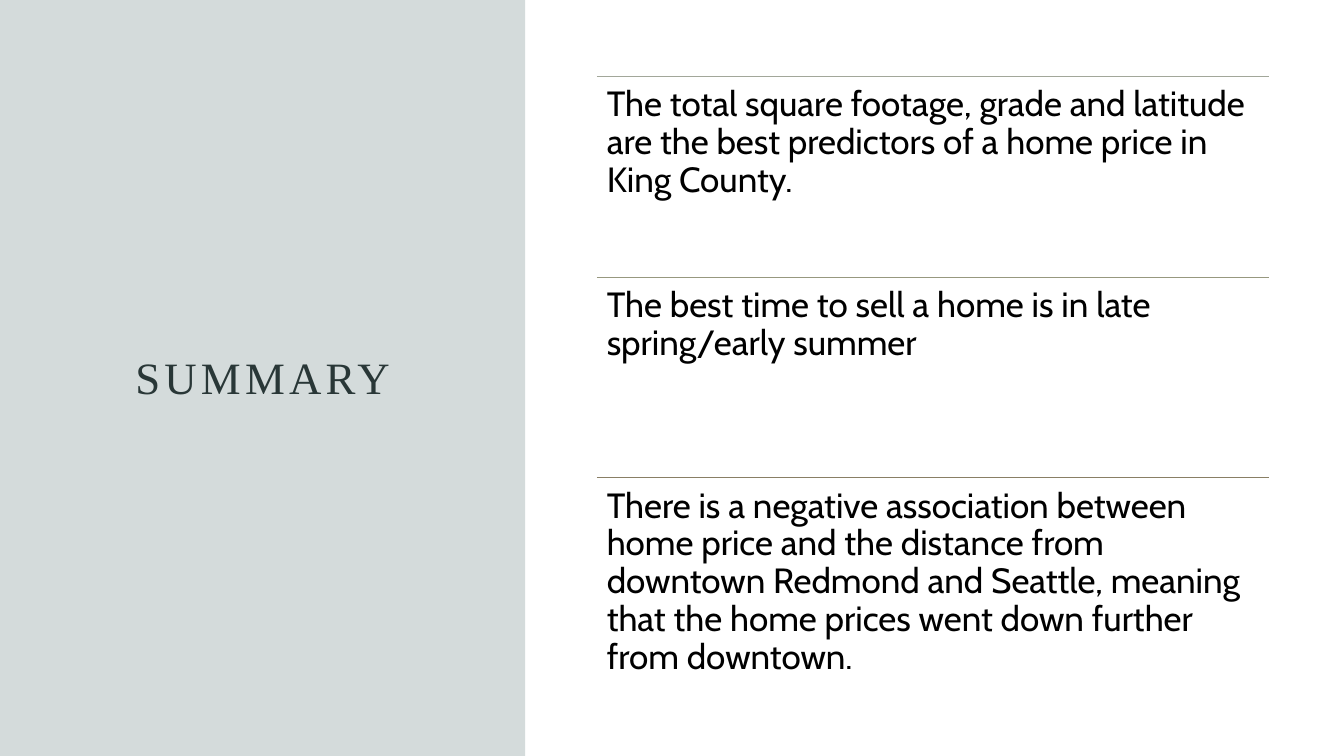
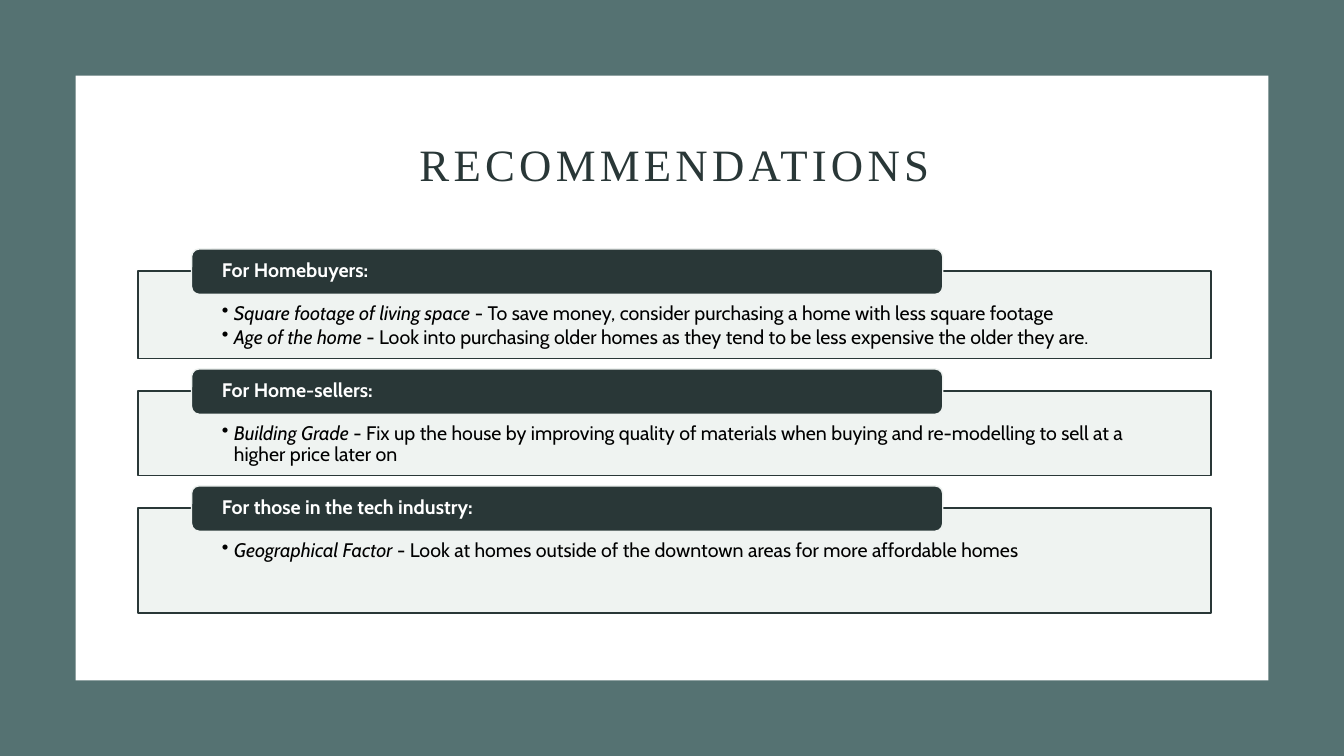
from dataclasses import dataclass
from typing import NamedTuple, Optional

from lxml import etree
from pptx import Presentation
from pptx.dml.color import RGBColor
from pptx.enum.shapes import MSO_CONNECTOR as Connector, MSO_SHAPE as Preset
from pptx.enum.text import MSO_ANCHOR as Anchor, MSO_AUTO_SIZE as AutoSize, PP_ALIGN as Align
from pptx.oxml.ns import qn
from pptx.util import Inches, Pt


@dataclass(frozen=True)
class Theme:
    teal: str = "557272"
    dark: str = "293737"
    pale: str = "EEF2F0"
    white: str = "FFFFFF"
    black: str = "000000"
    rules: tuple[str, ...] = ("A2A79A", "97987F", "897F65")
    title_font: str = "Times New Roman"
    body_font: str = "Cabin"
    title_size: int = 32
    summary_size: int = 25
    detail_size: int = 14
    line_spacing: float = 0.9


THEME = Theme()


class Box(NamedTuple):
    left: float
    top: float
    width: float
    height: float

    def lengths(self) -> list[int]:
        return [Inches(value) for value in self]


class TextRun(NamedTuple):
    text: str
    italic: bool = False


class Advice(NamedTuple):
    audience: str
    height: float
    points: tuple[tuple[str, str], ...]


SUMMARY = (
    "The total square footage, grade and latitude are the best predictors of a home price in King County.",
    "The best time to sell a home is in late spring/early summer",
    "There is a negative association between home price and the distance from downtown Redmond and Seattle, "
    "meaning that the home prices went down further from downtown.",
)

RECOMMENDATIONS = (
    Advice("For Homebuyers:", 0.87, (
        ("Square footage of living space ", "- To save money, consider purchasing a home with less square footage"),
        ("Age of the home ",
         "- Look into purchasing older homes as they tend to be less expensive the older they are."),
    )),
    Advice("For Home-sellers:", 0.84, (
        ("Building Grade ",
         "- Fix up the house by improving quality of materials when buying and re-modelling "
         "to sell at a higher price later on"),
    )),
    Advice("For those in the tech industry:", 1.04, (
        ("Geographical Factor ", "- Look at homes outside of the downtown areas for more affordable homes"),
    )),
)


def write_text(frame, paragraphs, *, size: int, color: str, font: str = THEME.body_font,
               bold: bool = False, align=Align.LEFT, anchor=Anchor.TOP, spacing: int = 0,
               bullet: bool = False, space_after: int = 0,
               insets: tuple[float, ...] = (0.1, 0.1, 0.1, 0.1)) -> None:
    """Fill a text frame; each paragraph is a sequence of TextRun."""
    frame.word_wrap = True
    frame.auto_size = AutoSize.NONE
    frame.vertical_anchor = anchor
    (frame.margin_left, frame.margin_top,
     frame.margin_right, frame.margin_bottom) = (Inches(inset) for inset in insets)
    for index, text_runs in enumerate(paragraphs):
        paragraph = frame.add_paragraph() if index else frame.paragraphs[0]
        if bullet:
            properties = paragraph._p.get_or_add_pPr()
            properties.set("marL", str(Inches(0.12)))
            properties.set("indent", str(Inches(-0.12)))
            etree.SubElement(properties, qn("a:buChar"), char="•")
        paragraph.alignment = align
        paragraph.line_spacing = THEME.line_spacing
        paragraph.space_before = Pt(0)
        paragraph.space_after = Pt(space_after)
        for text_run in text_runs:
            run = paragraph.add_run()
            run.text = text_run.text
            run.font.name = font
            run.font.size = Pt(size)
            run.font.bold = bold
            run.font.italic = text_run.italic
            run.font.color.rgb = RGBColor.from_string(color)
            if spacing:
                run._r.get_or_add_rPr().set("spc", str(spacing * 100))


def add_panel(slide, box: Box, fill: str, *, line: Optional[str] = None,
              opacity: int = 100, preset=Preset.RECTANGLE):
    shape = slide.shapes.add_shape(preset, *box.lengths())
    shape.shadow.inherit = False
    shape.fill.solid()
    shape.fill.fore_color.rgb = RGBColor.from_string(fill)
    if opacity < 100:
        color = shape.element.spPr.find(qn("a:solidFill"))[0]
        etree.SubElement(color, qn("a:alpha"), val=str(opacity * 1000))
    if line:
        shape.line.color.rgb = RGBColor.from_string(line)
        shape.line.width = Pt(1)
    else:
        shape.line.fill.background()
    return shape


def add_rule(slide, left: float, top: float, width: float, color: str) -> None:
    rule = slide.shapes.add_connector(
        Connector.STRAIGHT, Inches(left), Inches(top), Inches(left + width), Inches(top))
    rule.line.color.rgb = RGBColor.from_string(color)
    rule.line.width = Pt(1)
    etree.SubElement(rule.element.spPr, qn("a:effectLst"))


def add_titled_slide(presentation, title: str, title_box: Box, backdrops):
    """Start a title-only slide with its backdrop panels behind the title."""
    slide = presentation.slides.add_slide(presentation.slide_layouts.get_by_name("Title Only"))
    placeholder = slide.shapes.title
    placeholder.left, placeholder.top, placeholder.width, placeholder.height = title_box.lengths()
    write_text(placeholder.text_frame, [[TextRun(title)]], size=THEME.title_size, color=THEME.dark,
               font=THEME.title_font, align=Align.CENTER, anchor=Anchor.MIDDLE, spacing=3,
               insets=(0.1, 0.05, 0.1, 0.05))
    for box, fill, opacity in backdrops:
        panel = add_panel(slide, box, fill, opacity=opacity)
        placeholder.element.addprevious(panel.element)
    return slide


def build_summary(presentation) -> None:
    slide = add_titled_slide(presentation, "SUMMARY", Box(0.75, 0.77, 3.71, 6),
                             [(Box(0, 0, 5.21, 7.5), THEME.teal, 25)])
    # Ruled statements at an equal pitch
    left, first_top, width, pitch = 5.92, 0.76, 6.67, 1.99
    for index, (statement, color) in enumerate(zip(SUMMARY, THEME.rules)):
        top = first_top + index * pitch
        add_rule(slide, left, top, width, color)
        text_box = slide.shapes.add_textbox(*Box(left, top, width, pitch).lengths())
        write_text(text_box.text_frame, [[TextRun(statement)]],
                   size=THEME.summary_size, color=THEME.black)


def build_recommendations(presentation) -> None:
    slide = add_titled_slide(presentation, "RECOMMENDATIONS", Box(1.5, 1.17, 10.38, 0.98),
                             [(Box(0, 0, 13.33, 7.5), THEME.teal, 100),
                              (Box(0.75, 0.75, 11.83, 6), THEME.white, 100)])
    # Stacked boxes, each with a heading bar across its top edge
    top, gap, bar_rise = 2.69, 0.32, 0.22
    for advice in RECOMMENDATIONS:
        panel = add_panel(slide, Box(1.37, top, 10.64, advice.height), THEME.pale,
                          line=THEME.dark, opacity=90)
        write_text(panel.text_frame,
                   [[TextRun(topic, italic=True), TextRun(detail)] for topic, detail in advice.points],
                   size=THEME.detail_size, color=THEME.black, bullet=True, space_after=2,
                   insets=(0.83, 0.32, 0.83, 0.11))
        bar = add_panel(slide, Box(1.9, top - bar_rise, 7.45, 0.45), THEME.dark,
                        line=THEME.pale, preset=Preset.ROUNDED_RECTANGLE)
        write_text(bar.text_frame, [[TextRun(advice.audience)]], size=THEME.detail_size,
                   color=THEME.white, bold=True, anchor=Anchor.MIDDLE, insets=(0.28, 0, 0.28, 0))
        top += advice.height + gap


def main() -> None:
    presentation = Presentation()
    presentation.slide_width = Inches(13.33)
    presentation.slide_height = Inches(7.5)
    build_summary(presentation)
    build_recommendations(presentation)
    presentation.save("out.pptx")


if __name__ == "__main__":
    main()
